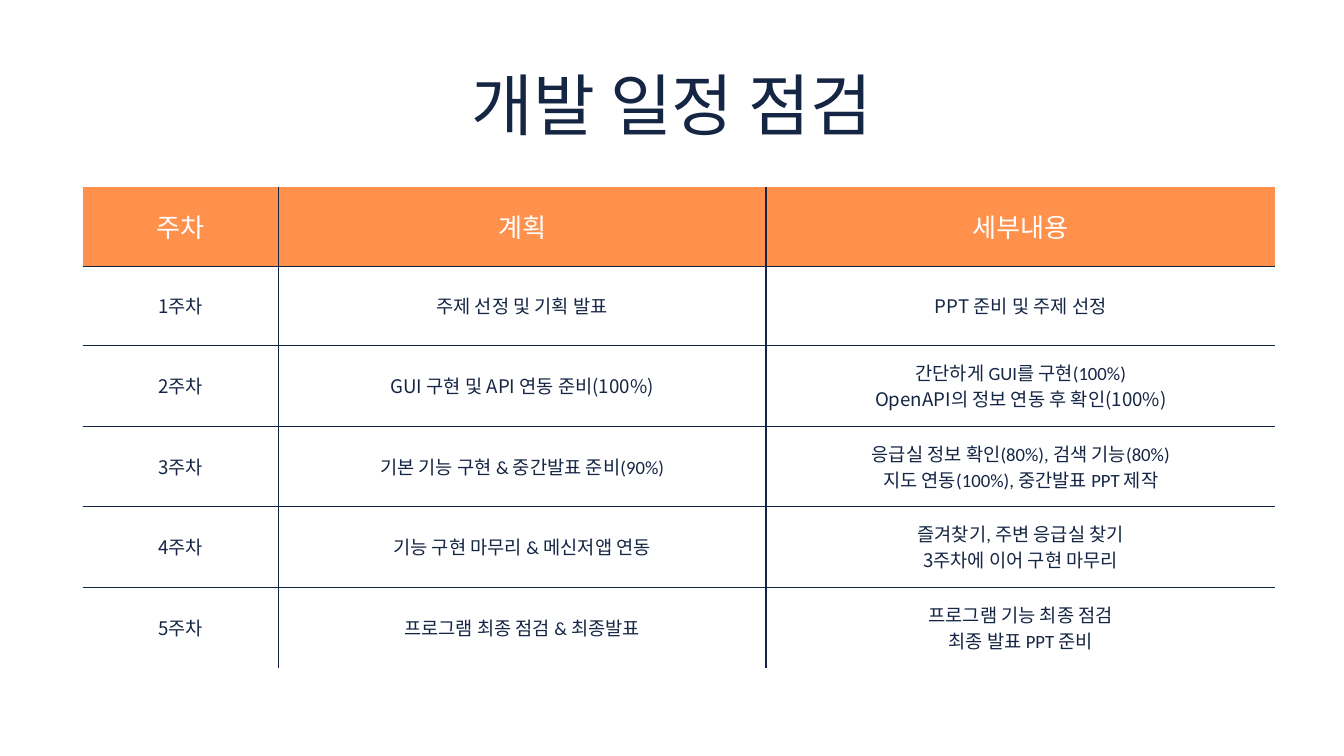
from lxml import etree
from pptx import Presentation
from pptx import util as u
from pptx.dml import color
from pptx.enum import text
from pptx.oxml import ns

NAVY, ORANGE, WHITE = "152544", "FF914D", "FFFFFF"
CALIBRI, NOTO = "Calibri", "Noto Sans CJK KR"
COLUMN_WIDTHS = [209.5, 522.7, 545.8]
ROW_HEIGHTS = [85, 85, 86.4, 86.4, 86.4, 85.7]
HEADERS = ["주차", "계획", "세부내용"]
SCHEDULE = [
    ["1주차", "주제 선정 및 기획 발표", "PPT 준비 및 주제 선정"],
    ["2주차", "GUI 구현 및 API 연동 준비(100%)",
     "간단하게 GUI를 구현(100%)\nOpenAPI의 정보 연동 후 확인(100%)"],
    ["3주차", "기본 기능 구현 & 중간발표 준비(90%)",
     "응급실 정보 확인(80%), 검색 기능(80%)\n지도 연동(100%), 중간발표 PPT 제작"],
    ["4주차", "기능 구현 마무리 & 메신저앱 연동",
     "즐겨찾기, 주변 응급실 찾기\n3주차에 이어 구현 마무리"],
    ["5주차", "프로그램 최종 점검 & 최종발표",
     "프로그램 기능 최종 점검\n최종 발표 PPT 준비"],
]
NOTO_LINES = {row[0] for row in SCHEDULE} | {
    "PPT 준비 및 주제 선정",
    "GUI 구현 및 API 연동 준비(100%)",
    "OpenAPI의 정보 연동 후 확인(100%)",
    "3주차에 이어 구현 마무리",
}
HEADER_STYLE = {"size": 28, "spacing": 39.2, "ink": WHITE}
BODY_STYLE = {"size": 20, "spacing": 28, "ink": NAVY}
TITLE_STYLE = {"size": 72, "spacing": 86.4, "ink": NAVY}


def rgb(value):
    return color.RGBColor.from_string(value)


def set_all(target, values):
    for name, value in values.items():
        setattr(target, name, value)


def margins(size):
    return {f"margin_{side}": u.Pt(size) for side in ("left", "right", "top", "bottom")}


def write_lines(frame, content, style):
    for index, line in enumerate(content.split("\n")):
        para = frame.add_paragraph() if index else frame.paragraphs[0]
        set_all(para, {"alignment": text.PP_ALIGN.CENTER,
                       "line_spacing": u.Pt(style["spacing"])})
        span = para.add_run()
        span.text = line
        set_all(span.font, {"size": u.Pt(style["size"]),
                            "name": NOTO if line in NOTO_LINES else CALIBRI})
        span.font.color.rgb = rgb(style["ink"])
        east_asian = etree.SubElement(span.font._element, ns.qn("a:ea"))
        east_asian.set("typeface", NOTO)


def add_borders(cell, visible):
    properties = cell._tc.get_or_add_tcPr()
    for side in "LRTB":
        line = etree.SubElement(properties, ns.qn(f"a:ln{side}"))
        if side in visible:
            line.set("w", str(u.Pt(1.5)))
            fill = etree.SubElement(line, ns.qn("a:solidFill"))
            etree.SubElement(fill, ns.qn("a:srgbClr")).set("val", NAVY)
        else:
            line.set("w", "0")
            etree.SubElement(line, ns.qn("a:noFill"))


def inner_sides(row, column, row_count, column_count):
    inside = {"L": column > 0, "R": column < column_count - 1,
              "T": row > 0, "B": row < row_count - 1}
    return [side for side, shown in inside.items() if shown]


def fill_cell(cell, content, style, background, visible):
    set_all(cell, {"vertical_anchor": text.MSO_ANCHOR.MIDDLE, **margins(15)})
    add_borders(cell, visible)
    cell.fill.solid()
    cell.fill.fore_color.rgb = rgb(background)
    write_lines(cell.text_frame, content, style)


def add_title(page, content):
    box = page.shapes.add_textbox(u.Pt(206.6), u.Pt(67.7), u.Pt(1026.7), u.Pt(100))
    set_all(box.text_frame, {"word_wrap": True,
                             "auto_size": text.MSO_AUTO_SIZE.SHAPE_TO_FIT_TEXT,
                             **margins(0)})
    write_lines(box.text_frame, content, TITLE_STYLE)


def add_schedule(page):
    rows = [HEADERS, *SCHEDULE]
    grid = page.shapes.add_table(
        len(rows), len(HEADERS), u.Pt(88.6), u.Pt(200.2),
        u.Pt(sum(COLUMN_WIDTHS)), u.Pt(sum(ROW_HEIGHTS))).table
    set_all(grid, {"first_row": False, "horz_banding": False})
    for column, width in zip(grid.columns, COLUMN_WIDTHS):
        column.width = u.Pt(width)
    for row, height in zip(grid.rows, ROW_HEIGHTS):
        row.height = u.Pt(height)
    for r, contents in enumerate(rows):
        style, background = (BODY_STYLE, WHITE) if r else (HEADER_STYLE, ORANGE)
        for c, content in enumerate(contents):
            visible = inner_sides(r, c, len(rows), len(HEADERS))
            fill_cell(grid.cell(r, c), content, style, background, visible)


def main():
    deck = Presentation()
    set_all(deck, {"slide_width": u.Pt(1440), "slide_height": u.Pt(810)})
    page = deck.slides.add_slide(deck.slide_layouts[6])
    add_title(page, "개발 일정 점검")
    add_schedule(page)
    deck.save("out.pptx")


if __name__ == "__main__":
    main()
